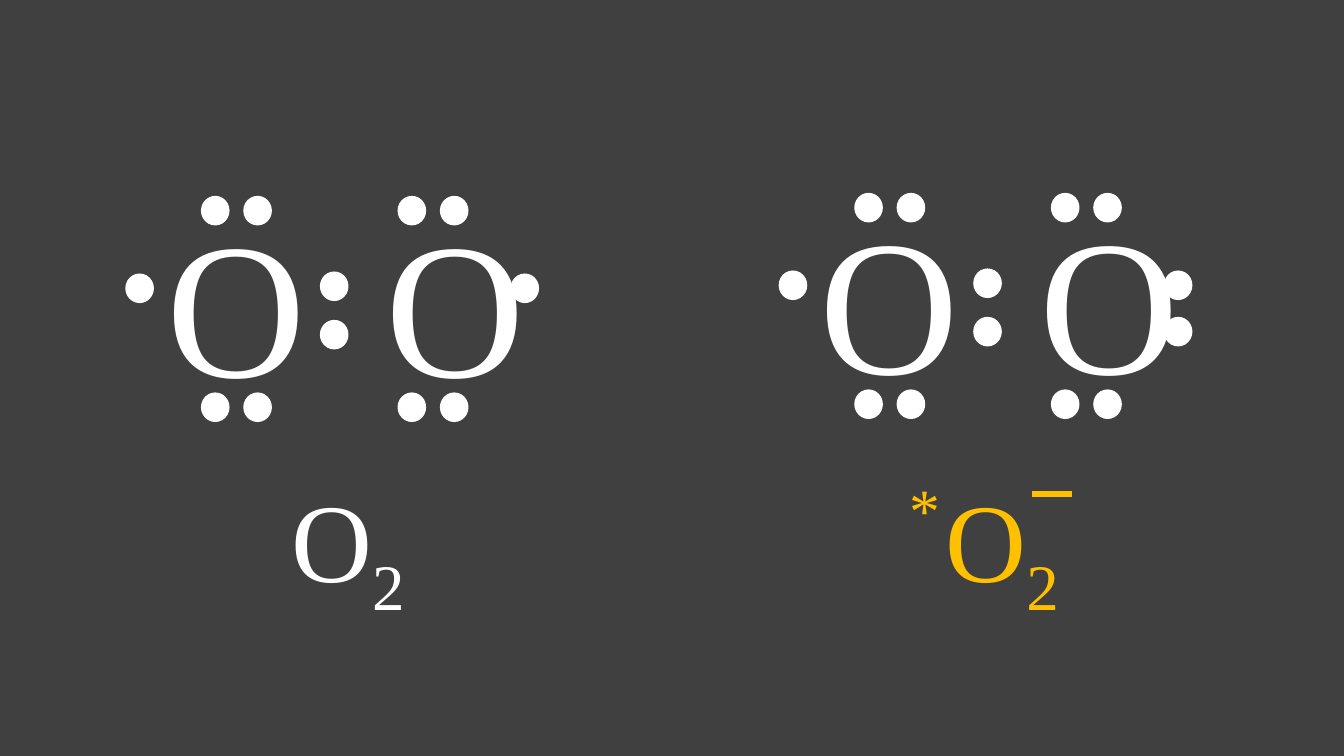
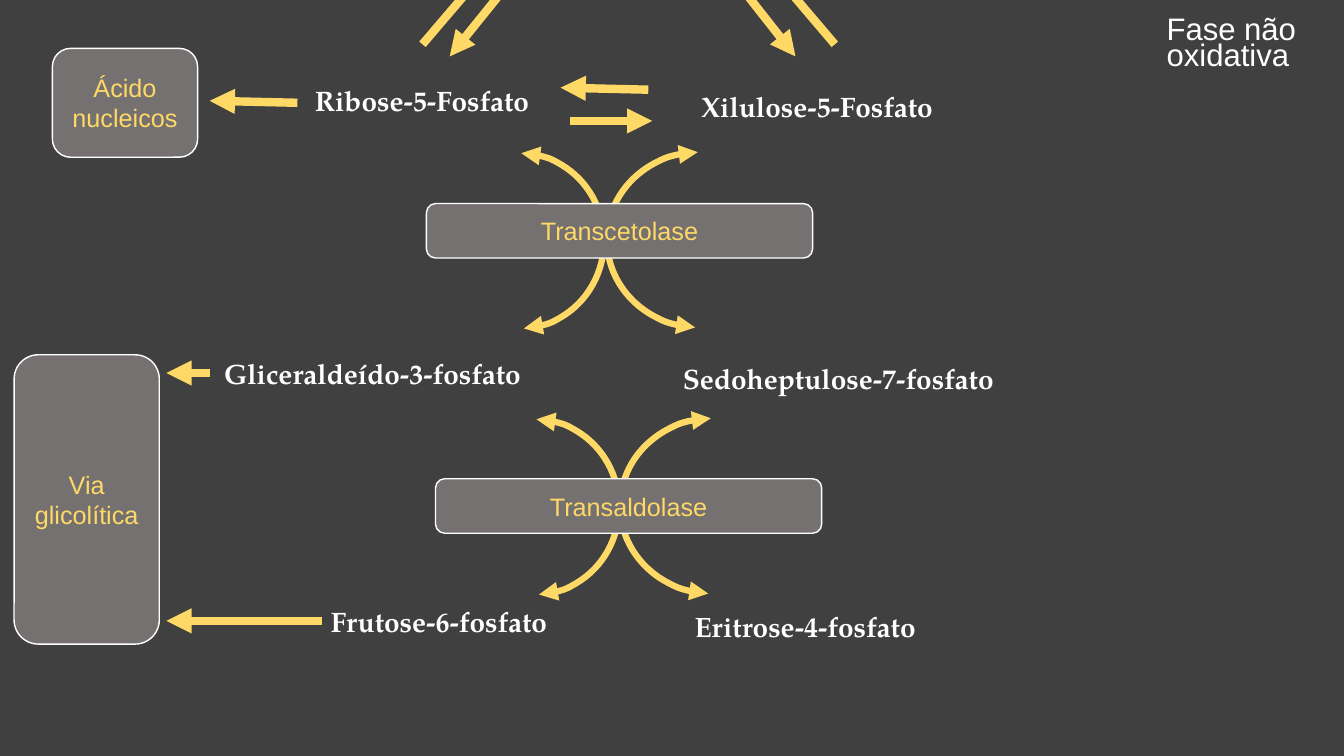
from dataclasses import dataclass

from lxml import etree
from pptx import Presentation
from pptx import util as u
from pptx.dml import color
from pptx.enum import shapes, text
from pptx.oxml import ns


@dataclass(frozen=True)
class Theme:
    """Colours, fonts and type sizes shared by the slides."""

    background: color.RGBColor = color.RGBColor(0x40, 0x40, 0x40)
    white: color.RGBColor = color.RGBColor(0xFF, 0xFF, 0xFF)
    amber: color.RGBColor = color.RGBColor(0xFF, 0xC0, 0x00)
    yellow: color.RGBColor = color.RGBColor(0xFF, 0xD9, 0x66)
    panel: color.RGBColor = color.RGBColor(0x76, 0x71, 0x71)
    formula_font: str = "Times New Roman"
    compound_font: str = "TeX Gyre Pagella"
    panel_font: str = "Arial"
    atom_size: float = 138
    formula_size: float = 80
    charge_size: float = 44
    title_size: float = 22.2
    compound_size: float = 20
    panel_size: float = 18
    outline: float = 1
    curve: float = 4.5
    arrow: float = 6


THEME = Theme()


def inches(*lengths):
    """Convert numbers to lengths."""
    return [u.Inches(length) for length in lengths]


def set_font(paragraph, name, size, rgb, bold=False):
    """Format a paragraph whose runs all agree."""
    font = paragraph.font
    font.name, font.size, font.bold = name, u.Pt(size), bold
    font.color.rgb = rgb


def add_label(slide, box, words, name, size, rgb, bold=False):
    """Add a centred text box and return its paragraph."""
    frame = slide.shapes.add_textbox(*inches(*box)).text_frame
    frame.word_wrap = True
    frame.auto_size = text.MSO_AUTO_SIZE.SHAPE_TO_FIT_TEXT
    paragraph = frame.paragraphs[0]
    paragraph.alignment = text.PP_ALIGN.CENTER
    paragraph.add_run().text = words
    set_font(paragraph, name, size, rgb, bold)
    return paragraph


def add_solid(slide, kind, box, fill):
    """Add a filled shape with a thin white outline."""
    shape = slide.shapes.add_shape(kind, *inches(*box))
    shape.shadow.inherit = False
    shape.fill.solid()
    shape.fill.fore_color.rgb = fill
    shape.line.color.rgb = THEME.white
    shape.line.width = u.Pt(THEME.outline)
    return shape


def style_line(shape, rgb, width, ends=()):
    """Colour a line and put triangles on the named ends."""
    shape.line.color.rgb = rgb
    shape.line.width = u.Pt(width)
    line = shape._element.spPr.find(ns.qn("a:ln"))
    for end in ends:
        etree.SubElement(line, ns.qn(f"a:{end}End"), type="triangle")


def add_line(slide, start, end, rgb, width, ends=()):
    """Add a straight line without a shadow."""
    connector = slide.shapes.add_connector(
        shapes.MSO_CONNECTOR.STRAIGHT, *inches(*start, *end)
    )
    style_line(connector, rgb, width, ends)
    etree.SubElement(connector._element.spPr, ns.qn("a:effectLst"))


def add_molecule(slide, left, top, right_electrons):
    """Draw two oxygen atoms with their valence electrons."""
    for offset, width in ((0, 2.5), (2.64, 1.19)):
        add_label(slide, (left + offset, top, width, 2.42), "O",
                  THEME.formula_font, THEME.atom_size, THEME.white)
    pairs = [(0.91 + 1.95 * atom + 0.42 * electron, 0.17 + 1.95 * row)
             for atom in range(2) for row in range(2) for electron in range(2)]
    bond = [(2.09, 0.92), (2.09, 1.4)]
    outer = [(0.16, 0.94)] + [(3.98, 0.94 + 0.46 * n) for n in range(right_electrons)]
    for x, y in pairs + bond + outer:
        add_solid(slide, shapes.MSO_SHAPE.OVAL,
                  (left + x, top + y, 0.27, 0.28), THEME.white)


def add_formula(slide, left, top, rgb):
    """Write the formula with its subscript."""
    paragraph = add_label(slide, (left, top, 2.68, 1.45), "O",
                          THEME.formula_font, THEME.formula_size, rgb)
    subscript = paragraph.add_run()
    subscript.text = "2"
    subscript._r.get_or_add_rPr().set("baseline", "-25000")


def add_radical_marks(slide, left, top):
    """Add the radical star and the charge bar around a formula."""
    add_line(slide, (left + 1.64, top + 0.28), (left + 2.03, top + 0.28),
             THEME.amber, THEME.curve)
    add_label(slide, (left + 0.21, top, 0.72, 0.84), "*",
              THEME.formula_font, THEME.charge_size, THEME.amber)


def add_panel(slide, box, words):
    """Add a rounded grey panel with centred words."""
    shape = add_solid(slide, shapes.MSO_SHAPE.ROUNDED_RECTANGLE, box, THEME.panel)
    frame = shape.text_frame
    frame.word_wrap = True
    frame.vertical_anchor = text.MSO_ANCHOR.MIDDLE
    paragraph = frame.paragraphs[0]
    paragraph.text = words
    paragraph.alignment = text.PP_ALIGN.CENTER
    set_font(paragraph, THEME.panel_font, THEME.panel_size, THEME.yellow)


def add_curve(slide, box, flipped):
    """Add a half-circle arrow, bulging right or, if flipped, left."""
    arc = slide.shapes.add_shape(shapes.MSO_SHAPE.ARC, *inches(*box))
    arc.shadow.inherit = False
    arc.fill.background()
    arc.rotation = 90
    arc.adjustments[0], arc.adjustments[1] = 108.79, 214.2
    if flipped:
        arc._element.spPr.xfrm.set("flipV", "1")
    style_line(arc, THEME.yellow, THEME.curve, ("head", "tail"))


def add_enzyme(slide, left, top, words, left_curve, right_curve):
    """Add an enzyme panel over its two reaction curves."""
    for (x, y), height, flipped in ((left_curve, 1.68, False), (right_curve, 1.84, True)):
        add_curve(slide, (left + x, top + y, 1.74, height), flipped)
    add_panel(slide, (left, top, 3.83, 0.54), words)


def add_title(slide, box, words):
    """Place the title placeholder and format its words."""
    title = slide.shapes.title
    title.left, title.top, title.width, title.height = inches(*box)
    frame = title.text_frame
    frame.text = words
    frame.word_wrap = True
    frame.auto_size = text.MSO_AUTO_SIZE.NONE
    frame.vertical_anchor = text.MSO_ANCHOR.MIDDLE
    paragraph = frame.paragraphs[0]
    paragraph.alignment = text.PP_ALIGN.LEFT
    paragraph.line_spacing = 0.7
    set_font(paragraph, THEME.panel_font, THEME.title_size, THEME.white)


def build_oxygen_slide(presentation):
    """Compare molecular oxygen with the superoxide radical."""
    slide = presentation.slides.add_slide(presentation.slide_layouts[6])
    add_molecule(slide, 1.09, 1.78, right_electrons=1)
    add_molecule(slide, 7.57, 1.75, right_electrons=2)
    add_formula(slide, 2.11, 4.62, THEME.white)
    add_formula(slide, 8.6, 4.62, THEME.amber)
    add_radical_marks(slide, 8.6, 4.62)


def build_pathway_slide(presentation):
    """Draw the non-oxidative phase of the pathway."""
    slide = presentation.slides.add_slide(presentation.slide_layouts[5])
    add_title(slide, (11.47, 0.13, 1.8, 0.65), "Fase não oxidativa")
    arrows = (
        ((5.67, -0.94), (4.46, 0.56)),
        ((6.67, -0.99), (7.89, 0.56)),
        ((4.19, 0.44), (5.41, -0.99)),
        ((8.28, 0.44), (7.09, -0.96)),
        ((5.65, 1.2), (6.47, 1.2)),
        ((6.43, 0.89), (5.56, 0.87)),
        ((2.08, 3.7), (1.65, 3.7)),
        ((3.19, 6.16), (1.65, 6.16)),
        ((2.95, 1.02), (2.08, 1)),
    )
    for start, end in arrows:
        add_line(slide, start, end, THEME.yellow, THEME.arrow, ("tail",))
    compounds = (
        (2.14, 0.78, "Ribose-5-Fosfato"),
        (6.06, 0.84, "Xilulose-5-Fosfato"),
        (1.65, 3.49, "Gliceraldeído-3-fosfato"),
        (6.27, 3.54, "Sedoheptulose-7-fosfato"),
        (2.31, 5.95, "Frutose-6-fosfato"),
        (5.94, 6, "Eritrose-4-fosfato"),
    )
    for left, top, words in compounds:
        add_label(slide, (left, top, 4.09, 0.44), words, THEME.compound_font,
                  THEME.compound_size, THEME.white, bold=True)
    add_enzyme(slide, 4.23, 2.02, "Transcetolase", (0.05, -0.47), (1.84, -0.56))
    add_enzyme(slide, 4.32, 4.75, "Transaldolase", (0.11, -0.56), (1.88, -0.65))
    add_panel(slide, (0.52, 0.48, 1.44, 1.08), "Ácido nucleicos")
    add_panel(slide, (0.14, 3.52, 1.44, 2.87), "Via glicolítica")


def main():
    """Build and save the presentation."""
    presentation = Presentation()
    presentation.slide_width, presentation.slide_height = inches(13.33, 7.5)
    fill = presentation.slide_master.background.fill
    fill.solid()
    fill.fore_color.rgb = THEME.background
    build_oxygen_slide(presentation)
    build_pathway_slide(presentation)
    presentation.save("out.pptx")


if __name__ == "__main__":
    main()
